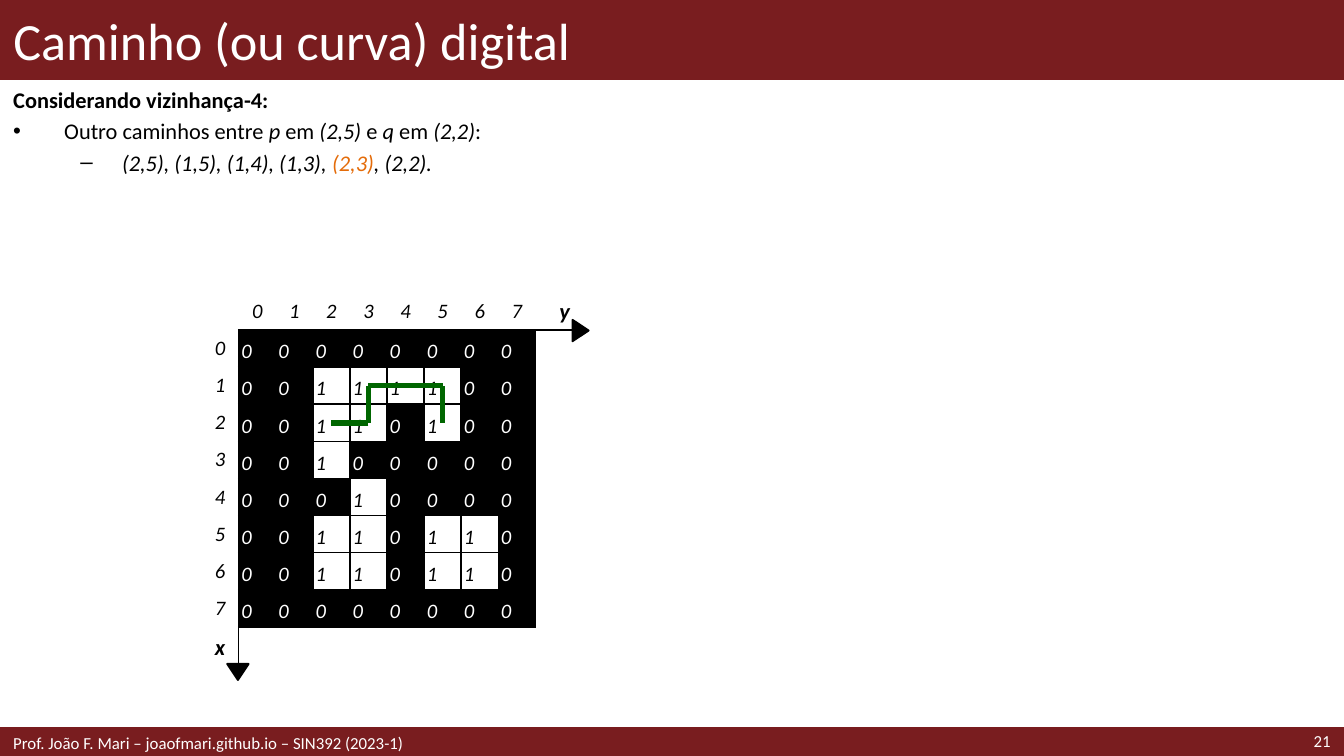
from dataclasses import dataclass
from itertools import pairwise, product

from lxml.etree import SubElement
from pptx import Presentation
from pptx.dml.color import RGBColor
from pptx.enum.shapes import MSO_CONNECTOR, MSO_SHAPE
from pptx.enum.text import MSO_ANCHOR, MSO_AUTO_SIZE, PP_ALIGN
from pptx.oxml.ns import qn
from pptx.util import Inches, Pt


@dataclass(frozen=True)
class Theme:
    """Colours, font and type sizes of the slide."""
    font: str = "Calibri"
    band: str = "791D1F"
    dark: str = "000000"
    light: str = "FFFFFF"
    route: str = "006600"
    accent: str = "E46C0A"
    title: int = 28
    body: int = 12
    grid: int = 11
    footer: int = 9


THEME = Theme()
WIDTH = 10
HEIGHT = WIDTH * 9 / 16
TABLE_LEFT, TABLE_TOP, TABLE_SIZE = 1.5, 2.18, 2.76
TABLE_CELLS = 10
CELL = TABLE_SIZE / TABLE_CELLS
PIXELS = [
    "00000000",
    "00111100",
    "00110100",
    "00100000",
    "00010000",
    "00110110",
    "00110110",
    "00000000",
]
ROUTE_CORNERS = [(2, 5), (1, 5), (1, 3), (2, 3), (2, 2)]
ITALIC = {"italic": True}
BODY = [
    (None, [("Considerando vizinhança-4:", {"bold": True})]),
    (("•", 0, 0.38, 0.38), [
        ("Outro caminhos entre ", {}), ("p", ITALIC), (" em ", {}),
        ("(2,5)", ITALIC), (" e ", {}), ("q", ITALIC), (" em ", {}),
        ("(2,2)", ITALIC), (":", {}),
    ]),
    (("–", 1, 0.81, 0.31), [
        ("(2,5), (1,5), (1,4), (1,3), ", ITALIC),
        ("(2,3)", {"italic": True, "color": THEME.accent}),
        (", (2,2).", ITALIC),
    ]),
]


def apply(target, values):
    """Set each named attribute on the target."""
    for name, value in values.items():
        setattr(target, name, value)


def add_run(paragraph, text, size, color=THEME.dark, **values):
    """Append a formatted run to a paragraph."""
    run = paragraph.add_run()
    run.text = text
    apply(run.font, {"name": THEME.font, "size": Pt(size), **values})
    run.font.color.rgb = RGBColor.from_string(color)


def add_filled_shape(slide, kind, box, color, line_width, rotation=0):
    """Add a preset shape with matching fill and outline."""
    shape = slide.shapes.add_shape(kind, *map(Inches, box))
    shape.fill.solid()
    shape.fill.fore_color.rgb = RGBColor.from_string(color)
    shape.line.color.rgb = RGBColor.from_string(color)
    shape.line.width = Pt(line_width)
    shape.rotation = rotation
    shape.shadow.inherit = False


def add_text_box(slide, box, anchor):
    """Add a wrapping text box and return its text frame."""
    frame = slide.shapes.add_textbox(*map(Inches, box)).text_frame
    apply(frame, {"word_wrap": True, "vertical_anchor": anchor})
    return frame


def set_title(slide, text):
    """Place the title placeholder in front of the top band."""
    title = slide.shapes.title
    box = {"left": 0, "top": 0, "width": WIDTH, "height": 0.59}
    apply(title, {name: Inches(value) for name, value in box.items()})
    apply(title.text_frame, {"vertical_anchor": MSO_ANCHOR.MIDDLE,
                             "auto_size": MSO_AUTO_SIZE.NONE})
    paragraph = title.text_frame.paragraphs[0]
    paragraph.alignment = PP_ALIGN.LEFT
    add_run(paragraph, text, THEME.title, THEME.light)
    title.element.getparent().append(title.element)


def add_footer(slide, box, text, alignment):
    """Add one line of text on the bottom band."""
    paragraph = add_text_box(slide, box, MSO_ANCHOR.MIDDLE).paragraphs[0]
    paragraph.alignment = alignment
    add_run(paragraph, text, THEME.footer, THEME.light)


def set_bullet(paragraph, character, level, margin, hanging):
    """Give a paragraph a bullet with a hanging indent."""
    paragraph.level = level
    properties = paragraph._p.get_or_add_pPr()
    properties.set("marL", str(Inches(margin)))
    properties.set("indent", str(-Inches(hanging)))
    SubElement(properties, qn("a:buFont"), typeface="Arial")
    SubElement(properties, qn("a:buChar"), char=character)


def add_body(slide):
    """Add the heading and its bulleted lines."""
    frame = add_text_box(slide, (0, 0.59, 5, 1.73), MSO_ANCHOR.TOP)
    for index, (bullet, runs) in enumerate(BODY):
        paragraph = frame.add_paragraph() if index else frame.paragraphs[0]
        if bullet:
            set_bullet(paragraph, *bullet)
        if index:
            paragraph.space_before = Pt(2.4)
        for text, values in runs:
            add_run(paragraph, text, THEME.body, **values)


def has_line(edge, position):
    """Tell whether a grid edge is ruled, including the axis extensions."""
    inside = 1 <= edge <= 9 and 1 <= position <= 8
    return inside or (edge, position) == (1, 9)


def set_borders(cell, row, column):
    """Rule the sides of a cell that belong to the grid or its axes."""
    sides = {"L": has_line(column, row), "R": has_line(column + 1, row),
             "T": has_line(row, column), "B": has_line(row + 1, column)}
    properties = cell._tc.get_or_add_tcPr()
    for side, ruled in sides.items():
        line = SubElement(properties, qn(f"a:ln{side}"), w=str(Pt(1)))
        if ruled:
            fill = SubElement(line, qn("a:solidFill"))
            SubElement(fill, qn("a:srgbClr"), val=THEME.dark)
        else:
            SubElement(line, qn("a:noFill"))


def write_cell(cell, row, column):
    """Fill one cell as a pixel, an index, an axis name or a blank."""
    paragraph = cell.text_frame.paragraphs[0]
    cell.vertical_anchor = MSO_ANCHOR.MIDDLE
    if 1 <= row <= 8 and 1 <= column <= 8:
        value = PIXELS[row - 1][column - 1]
        fill, color = ((THEME.light, THEME.dark) if value == "1"
                       else (THEME.dark, THEME.light))
        cell.fill.solid()
        cell.fill.fore_color.rgb = RGBColor.from_string(fill)
        cell.vertical_anchor = MSO_ANCHOR.BOTTOM
        add_run(paragraph, value, THEME.grid, color, italic=True)
        return
    cell.fill.background()
    paragraph.alignment = PP_ALIGN.CENTER
    if (row, column) == (0, 9):
        paragraph.alignment = PP_ALIGN.RIGHT
        add_run(paragraph, "y", THEME.body, bold=True, italic=True)
    elif (row, column) == (9, 0):
        cell.vertical_anchor = MSO_ANCHOR.BOTTOM
        add_run(paragraph, "x", THEME.body, bold=True, italic=True)
    elif (row == 0) != (column == 0) and max(row, column) <= 8:
        add_run(paragraph, str(max(row, column) - 1), THEME.grid, italic=True)
    else:
        SubElement(paragraph._p, qn("a:endParaRPr"), sz=str(THEME.grid * 100))


def add_pixel_table(slide):
    """Add the binary image with its row and column indices."""
    box = (TABLE_LEFT, TABLE_TOP, TABLE_SIZE, TABLE_SIZE)
    table = slide.shapes.add_table(
        TABLE_CELLS, TABLE_CELLS, *map(Inches, box)).table
    apply(table, {"first_row": False, "horz_banding": False})
    style = table._tbl.tblPr.find(qn("a:tableStyleId"))
    style.text = "{2D5ABB26-0587-4C30-8999-92F81FD0307C}"
    margins = ("margin_left", "margin_right", "margin_top", "margin_bottom")
    for row, column in product(range(TABLE_CELLS), repeat=2):
        cell = table.cell(row, column)
        apply(cell, dict.fromkeys(margins, Inches(0.02)))
        set_borders(cell, row, column)
        write_cell(cell, row, column)


def pixel_center(row, column):
    """Return the horizontal and vertical centre of a pixel."""
    return (Inches(TABLE_LEFT + CELL * (column + 1.5)),
            Inches(TABLE_TOP + CELL * (row + 1.5)))


def add_route(slide):
    """Draw the digital path through its corner pixels."""
    for start, end in pairwise(ROUTE_CORNERS):
        connector = slide.shapes.add_connector(
            MSO_CONNECTOR.STRAIGHT, *pixel_center(*start), *pixel_center(*end))
        connector.line.color.rgb = RGBColor.from_string(THEME.route)
        connector.line.width = Pt(3)
        SubElement(connector._element.spPr, qn("a:effectLst"))


def main():
    """Build and save the slide."""
    presentation = Presentation()
    apply(presentation, {"slide_width": Inches(WIDTH),
                         "slide_height": Inches(HEIGHT)})
    slide = presentation.slides.add_slide(presentation.slide_layouts[5])
    rectangle, triangle = MSO_SHAPE.RECTANGLE, MSO_SHAPE.ISOSCELES_TRIANGLE
    add_filled_shape(slide, rectangle, (0, 0, WIDTH, 0.59), THEME.band, 1)
    add_filled_shape(slide, rectangle, (0, 5.42, WIDTH, 0.21), THEME.band, 2)
    add_pixel_table(slide)
    add_filled_shape(slide, triangle, (4.24, 2.4, 0.16, 0.12), THEME.dark, 1, 90)
    add_filled_shape(slide, triangle, (1.69, 4.94, 0.16, 0.12), THEME.dark, 1, 180)
    set_title(slide, "Caminho (ou curva) digital")
    add_footer(slide, (8.86, 5.41, 1.14, 0.21), "21", PP_ALIGN.RIGHT)
    add_footer(slide, (0, 5.42, 6.89, 0.21),
               "Prof. João F. Mari – joaofmari.github.io – SIN392 (2023-1)",
               PP_ALIGN.LEFT)
    add_body(slide)
    add_route(slide)
    presentation.save("out.pptx")


if __name__ == "__main__":
    main()
